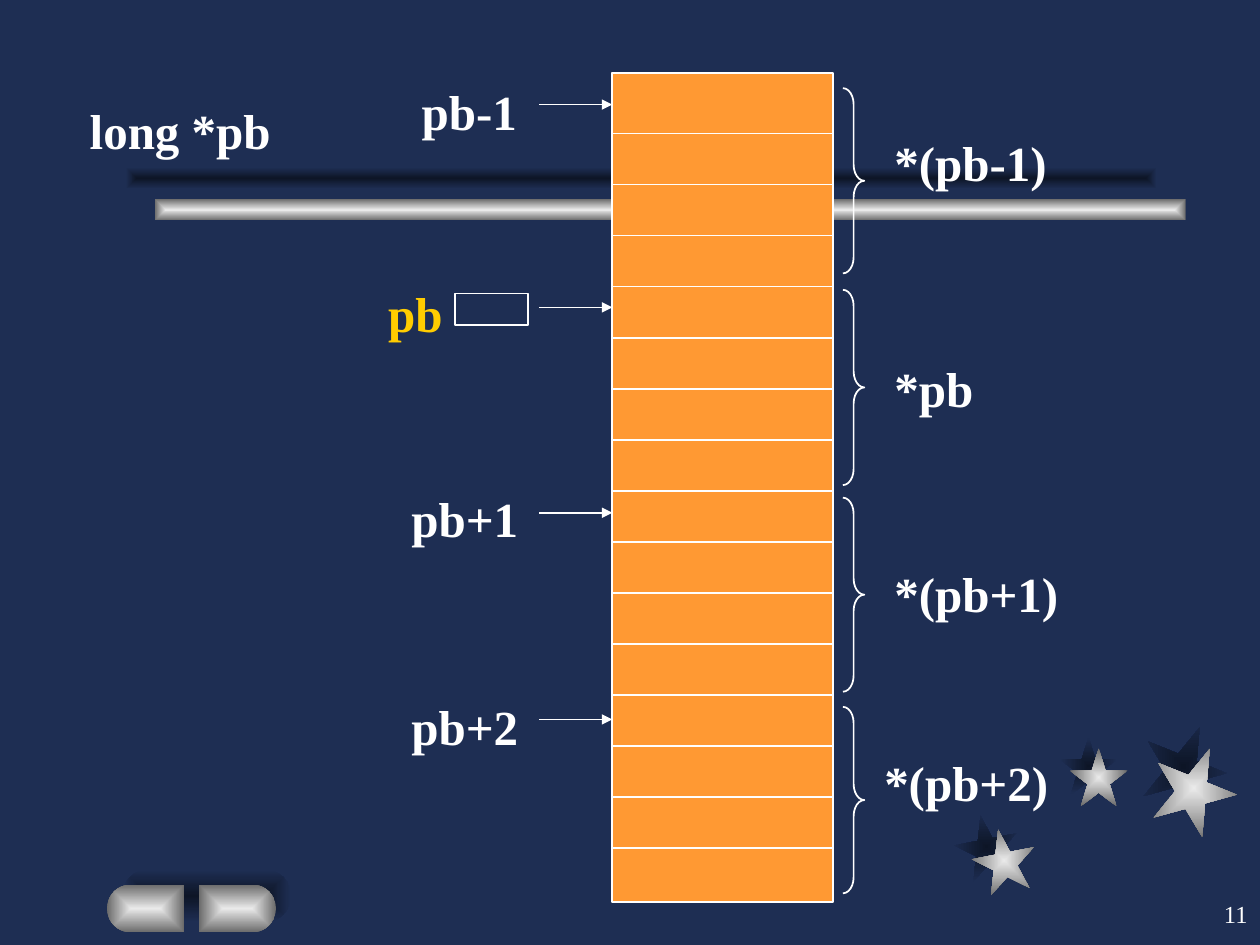
from math import cos, pi, sin

from pptx import Presentation
from pptx.dml.color import RGBColor
from pptx.enum.shapes import MSO_CONNECTOR, MSO_SHAPE
from pptx.enum.text import MSO_ANCHOR, MSO_AUTO_SIZE, PP_ALIGN
from pptx.oxml import parse_xml
from pptx.oxml.ns import nsdecls, qn
from pptx.util import Inches, Pt

STRAIGHT = MSO_CONNECTOR.STRAIGHT
RECTANGLE = MSO_SHAPE.RECTANGLE
ROUNDED = MSO_SHAPE.ROUNDED_RECTANGLE
STAR = MSO_SHAPE.STAR_5_POINT
BRACE = MSO_SHAPE.RIGHT_BRACE
LEFT, CENTER, RIGHT = PP_ALIGN.LEFT, PP_ALIGN.CENTER, PP_ALIGN.RIGHT
TOP, MIDDLE = MSO_ANCHOR.TOP, MSO_ANCHOR.MIDDLE
FIT_SHAPE = MSO_AUTO_SIZE.SHAPE_TO_FIT_TEXT
NO_FIT = MSO_AUTO_SIZE.NONE

NAVY, WHITE, ORANGE, GOLD = "1E2E53", "FFFFFF", "FF9933", "FFCC00"
SILVER = ("EAEAEA", "6B6B6B")
SHADE = ("0D1526", NAVY)

MEMORY_LEFT, MEMORY_WIDTH = 4.86, 1.75
MEMORY_RIGHT = MEMORY_LEFT + MEMORY_WIDTH
CELL_COUNT = 16
FIRST_DIVIDER, LAST_DIVIDER = 1.06, 6.73
CELL_HEIGHT = (LAST_DIVIDER - FIRST_DIVIDER) / (CELL_COUNT - 2)


def color(value):
    return RGBColor.from_string(value)


def write(box, text, size=28, fill=WHITE, bold=True, align=LEFT,
          anchor=TOP, fit=FIT_SHAPE, before=17.5):
    frame = box.text_frame
    frame.word_wrap = True
    frame.auto_size = fit
    frame.vertical_anchor = anchor
    para = frame.paragraphs[0]
    para.alignment = align
    para.space_before = Pt(before)
    span = para.add_run()
    span.text = text
    span.font.name = "Times New Roman"
    span.font.size = Pt(size)
    span.font.bold = bold
    span.font.color.rgb = color(fill)


class Page:
    def __init__(self, slide, line_color=WHITE, line_width=1):
        self.slide = slide
        self.shapes = slide.shapes
        self.line_color = line_color
        self.line_width = line_width

    def background(self, fill):
        self.slide.background.fill.solid()
        self.slide.background.fill.fore_color.rgb = color(fill)

    def outline(self, item):
        item.line.color.rgb = color(self.line_color)
        item.line.width = Pt(self.line_width)

    def shape(self, kind, left, top, width, height, fill=None):
        box = self.shapes.add_shape(kind, Inches(left), Inches(top),
                                    Inches(width), Inches(height))
        box.shadow.inherit = False
        if fill:
            box.fill.solid()
            box.fill.fore_color.rgb = color(fill)
        else:
            box.fill.background()
        self.outline(box)
        return box

    def shade(self, box, colors):
        box.shadow.inherit = False
        box.line.fill.background()
        box.fill.background()
        inner, outer = colors
        gradient = parse_xml(
            f'<a:gradFill {nsdecls("a")} rotWithShape="0"><a:gsLst>'
            f'<a:gs pos="0"><a:srgbClr val="{inner}"/></a:gs>'
            f'<a:gs pos="100000"><a:srgbClr val="{outer}"/></a:gs></a:gsLst>'
            '<a:path path="rect"><a:fillToRect l="50000" t="50000" '
            'r="50000" b="50000"/></a:path></a:gradFill>')
        properties = box._element.spPr
        properties.replace(properties.find(qn("a:noFill")), gradient)

    def shaded_shape(self, kind, left, top, width, height, colors, rotation=0):
        box = self.shape(kind, left, top, width, height)
        box.rotation = rotation
        self.shade(box, colors)
        return box

    def half_pill(self, flat_edge, direction):
        middle, radius, straight = 7.21, 0.19, 0.42
        arc = [(flat_edge + direction * (straight + radius * cos(angle)),
                middle + radius * sin(angle))
               for angle in (-pi / 2 + pi * step / 20 for step in range(21))]
        corners = [*arc, (flat_edge, middle + radius)]
        builder = self.shapes.build_freeform(
            Inches(flat_edge), Inches(middle - radius))
        builder.add_line_segments([(Inches(x), Inches(y)) for x, y in corners])
        self.shade(builder.convert_to_shape(), SILVER)

    def line(self, start, end, y, arrow=False):
        connector = self.shapes.add_connector(
            STRAIGHT, Inches(start), Inches(y), Inches(end), Inches(y))
        self.outline(connector)
        if arrow:
            connector.line._get_or_add_ln().append(
                parse_xml(f'<a:tailEnd {nsdecls("a")} type="triangle"/>'))
        connector._element.spPr.append(
            parse_xml(f'<a:effectLst {nsdecls("a")}/>'))

    def brace(self, top, height):
        box = self.shape(BRACE, 6.69, top, 0.17, height)
        box.adjustments[0] = 0.75

    def text(self, text, left, top, width, height=0.57, **style):
        box = self.shapes.add_textbox(Inches(left), Inches(top),
                                      Inches(width), Inches(height))
        write(box, text, **style)

    def title(self, text, left, top, width, height, **style):
        box = self.shapes.title
        box.left, box.top = Inches(left), Inches(top)
        box.width, box.height = Inches(width), Inches(height)
        write(box, text, **style)


def draw_decoration(page):
    stars = [
        ((7.58, 6.47), (7.72, 6.58), 0.5, 349),
        ((8.41, 5.85), (8.49, 5.94), 0.46, 0),
        ((9.06, 5.75), (9.14, 5.92), 0.67, 22),
    ]
    for place, colors in enumerate((SHADE, SILVER)):
        for *corners, size, rotation in stars:
            page.shaded_shape(STAR, *corners[place], size, size,
                              colors, rotation)
    page.shaded_shape(RECTANGLE, 1.23, 1.58, 8.18, 0.17, SILVER)
    page.shaded_shape(RECTANGLE, 1, 1.33, 8.18, 0.17, SHADE)
    pill_shadow = page.shaded_shape(ROUNDED, 0.97, 6.9, 1.34, 0.42, SHADE)
    pill_shadow.adjustments[0] = 0.5
    page.half_pill(1.46, -1)
    page.half_pill(1.58, 1)


def draw_memory(page):
    page.shape(RECTANGLE, MEMORY_LEFT, 0.58, MEMORY_WIDTH, 6.58, ORANGE)
    for index in range(CELL_COUNT - 1):
        page.line(MEMORY_LEFT, MEMORY_RIGHT,
                  FIRST_DIVIDER + index * CELL_HEIGHT)
    for top, height in ((0.7, 1.47), (2.3, 1.55), (3.95, 1.54), (5.61, 1.48)):
        page.brace(top, height)


def draw_pointers(page):
    pointers = [
        ("pb-1", 4.2, 0.6, 0.83, WHITE),
        ("pb", 3.61, 2.2, 2.44, GOLD),
        ("pb+1", 4.21, 3.83, 4.07, WHITE),
        ("pb+2", 4.21, 5.48, 5.71, WHITE),
    ]
    label_width = 1.21
    for text, right, top, arrow_y, fill in pointers:
        page.line(4.28, MEMORY_LEFT, arrow_y, arrow=True)
        page.text(text, right - label_width, top, label_width,
                  fill=fill, align=RIGHT)
    page.shape(RECTANGLE, 3.61, 2.33, 0.58, 0.25)
    values = [("*(pb-1)", 7, 1), ("*pb", 7, 2.8),
              ("*(pb+1)", 7, 4.42), ("*(pb+2)", 6.92, 5.92)]
    for text, left, top in values:
        page.text(text, left, top, 1.67)


def main():
    deck = Presentation()
    deck.slide_width, deck.slide_height = Inches(10), Inches(7.5)
    page = Page(deck.slides.add_slide(deck.slide_layouts[5]))
    page.background(NAVY)
    page.title("long *pb", 0.36, 0.75, 2.14, 0.57, align=CENTER)
    draw_decoration(page)
    draw_memory(page)
    draw_pointers(page)
    page.text("11", 7.92, 7, 2.08, 0.5, size=14, bold=False, align=RIGHT,
              anchor=MIDDLE, fit=NO_FIT, before=0)
    deck.save("out.pptx")


if __name__ == "__main__":
    main()
